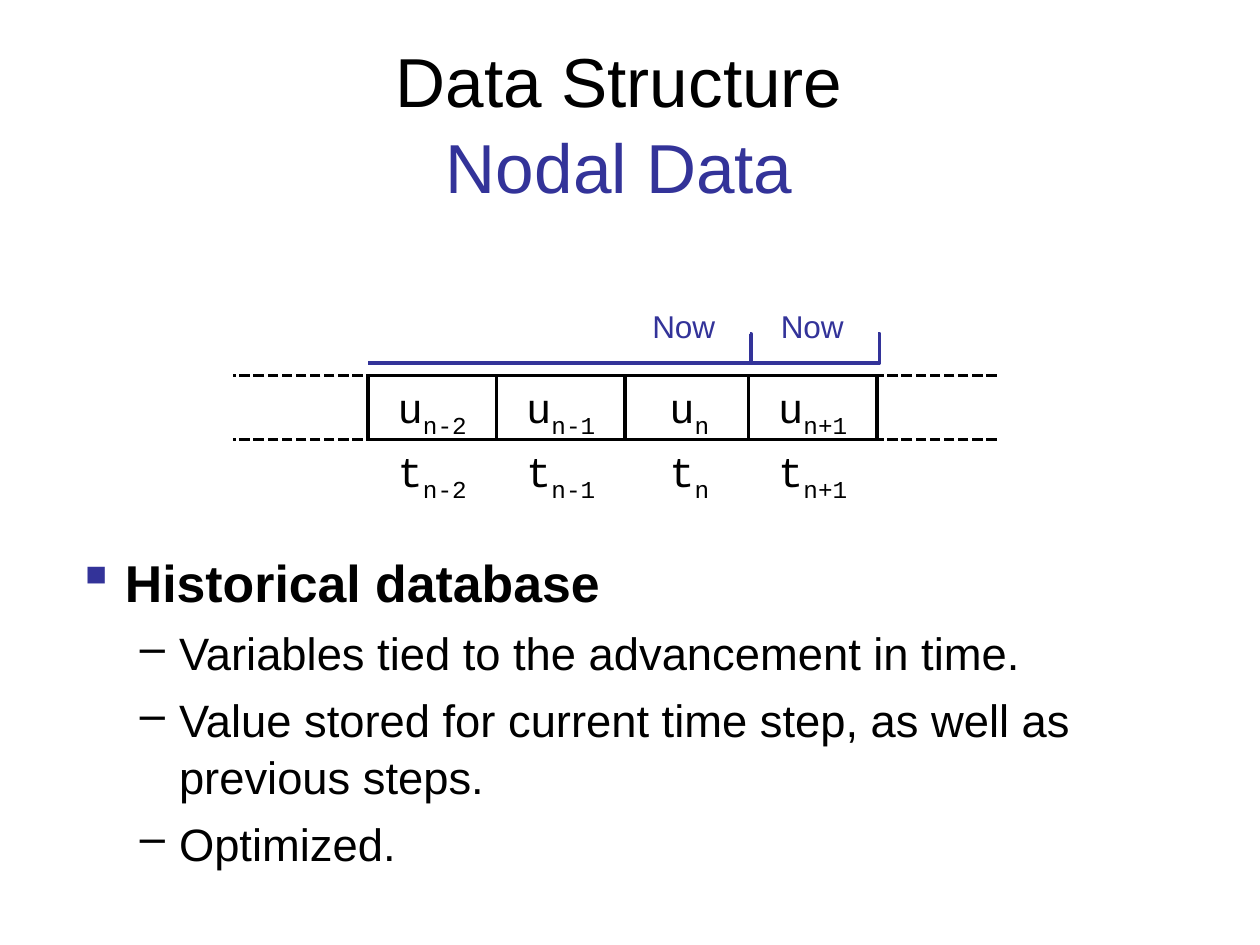
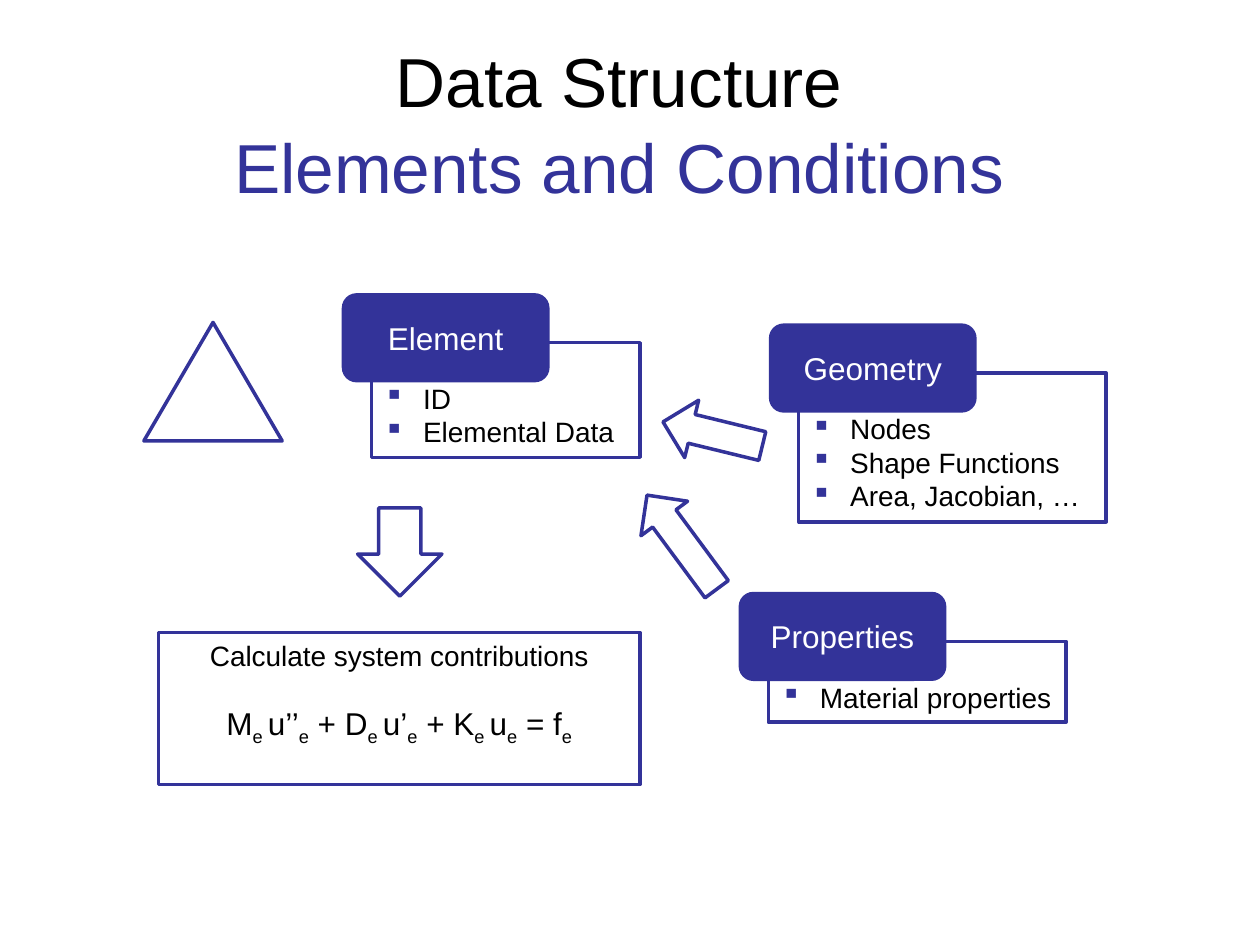
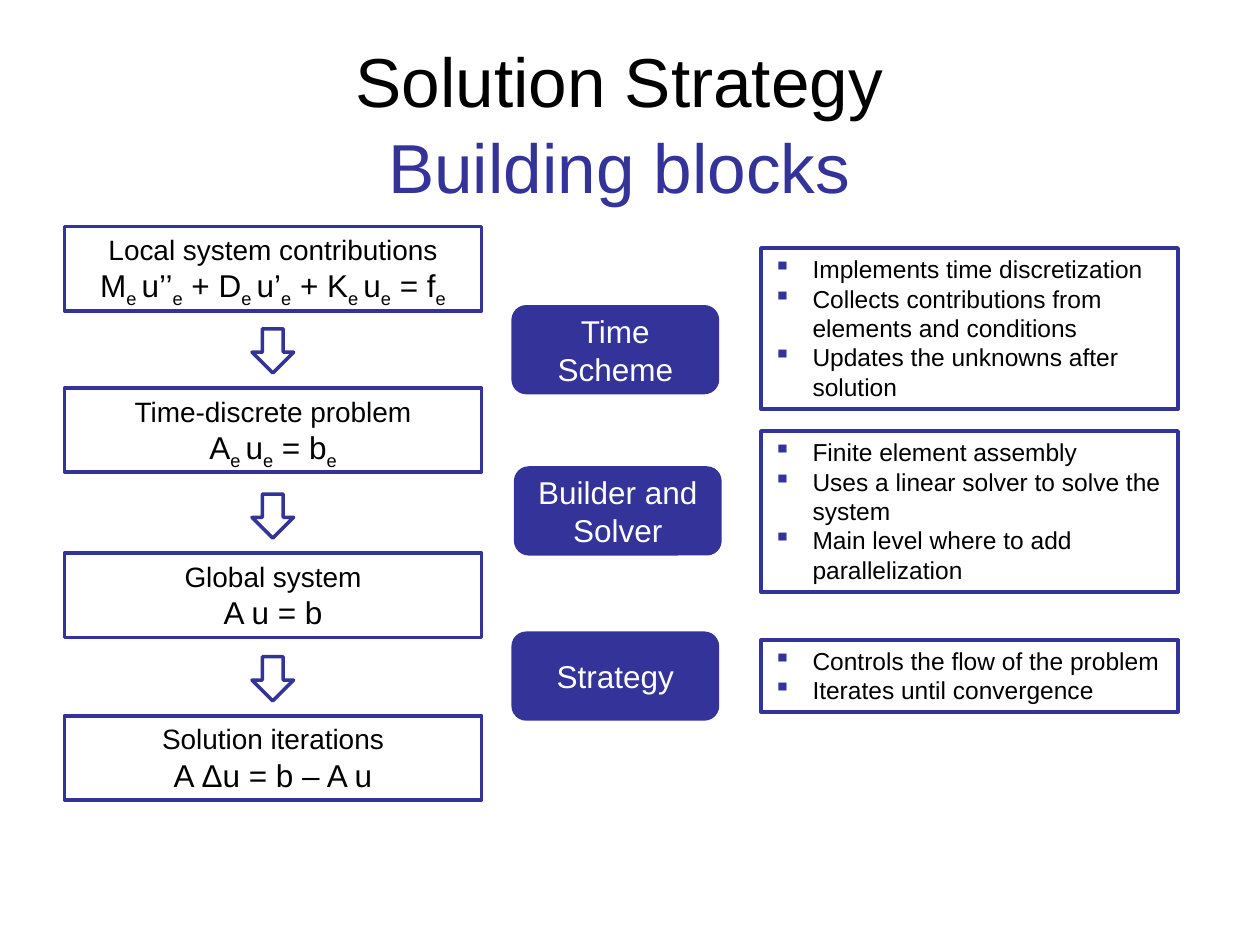
from lxml.etree import SubElement
from pptx import Presentation
from pptx.dml.color import RGBColor
from pptx.enum.dml import MSO_LINE_DASH_STYLE as Dash
from pptx.enum.shapes import MSO_CONNECTOR as Link, MSO_SHAPE as Kind
from pptx.enum.text import MSO_ANCHOR as Anchor, PP_ALIGN as Align
from pptx.oxml.ns import qn
from pptx.util import Cm, Pt

# Content: lengths in cm, subscripts between underscores
LOCAL_SYSTEM = "M_e _u’’_e_ + D_e _u’_e_ + K_e _u_e_ = f_e_"
TITLES = [
    ("Data Structure", "Nodal Data"),
    ("Data Structure", "Elements and Conditions"),
    ("Solution Strategy", "Building blocks"),
]
TIME_STEPS = [("n-2", 7.42), ("n-1", 10.01), ("n", 12.6), ("n+1", 15.09)]
HISTORY = [
    ("topic", "Historical database"),
    ("detail", "Variables tied to the advancement in time."),
    ("detail", "Value stored for current time step, as well as previous steps."),
    ("detail", "Optimized."),
]
CARDS = [
    ("Element", (7.49, 6.91, 5.41, 2.31), ["ID", "Elemental Data"]),
    ("Geometry", (16.1, 7.52, 6.2, 3.0),
     ["Nodes", "Shape Functions", "Area, Jacobian, …"]),
    ("Properties", (15.49, 12.93, 6.0, 1.63), ["Material properties"]),
]
CARD_ARROWS = [
    ((7.21, 10.24, 1.7, 1.78), 0),
    ((13.16, 9.75, 1.17, 2.36), 143.5),
    ((13.77, 7.72, 1.19, 2.06), 103.7),
]
FLOW = [
    (4.57, "Local system contributions", LOCAL_SYSTEM),
    (7.82, "Time-discrete problem", "A_e _u_e_ = b_e_"),
    (11.15, "Global system", "A u = b"),
    (14.43, "Solution iterations", "A Δu = b – A u"),
]
BLOCKS = [
    ("Time Scheme", (10.31, 6.15), (5.0, 3.25),
     ["Implements time discretization",
      "Collects contributions from elements and conditions",
      "Updates the unknowns after solution"]),
    ("Builder and Solver", (10.36, 9.4), (8.69, 3.25),
     ["Finite element assembly",
      "Uses a linear solver to solve the system",
      "Main level where to add parallelization"]),
    ("Strategy", (10.31, 12.73), (12.9, 1.45),
     ["Controls the flow of the problem", "Iterates until convergence"]),
]

# Shared look
COLOURS = {"ink": "000000", "accent": "333399", "paper": "FFFFFF"}
FONTS = {
    "title": {"size": Pt(39.6)},
    "topic": {"size": Pt(29.6), "bold": True},
    "detail": {"size": Pt(25.9)},
    "cell": {"size": Pt(24), "name": "Courier New"},
    "label": {"size": Pt(18)},
    "text": {"size": Pt(16)},
    "note": {"size": Pt(14)},
}
# Bullet sign, sign colour, text indent
BULLETS = {
    "topic": ("▪", "accent", 0.97, 0.97),
    "detail": ("–", "ink", 2.06, 0.79),
    "text": ("▪", "accent", 0.79, 0.79),
    "note": ("▪", "accent", 0.79, 0.79),
}
LABEL_SIZE = (4.19, 1.8)
CELL_STEP, CELL_HEIGHT = 2.59, 1.29
ROW_TOPS = {"t": 8.86, "u": 7.57}


def rgb(colour):
    return RGBColor.from_string(COLOURS[colour])


def write(para, text, style, colour="ink"):
    for index, part in enumerate(text.split("_")):
        if not part:
            continue
        span = para.add_run()
        span.text = part
        for key, value in {"name": "Arial", **FONTS[style]}.items():
            setattr(span.font, key, value)
        span.font.color.rgb = rgb(colour)
        if index % 2:
            span.font._element.set("baseline", "-25000")


def fill_text(box, lines, align=Align.LEFT, colour="ink", bulleted=False, **formats):
    """Write (style, text) lines, one paragraph each."""
    frame = box.text_frame
    for key, value in {"word_wrap": True, "vertical_anchor": Anchor.TOP, **formats}.items():
        setattr(frame, key, value)
    for index, (style, text) in enumerate(lines):
        para = frame.paragraphs[0] if index == 0 else frame.add_paragraph()
        para.alignment = align
        write(para, text, style, colour)
        if bulleted:
            add_bullet(para, *BULLETS[style])
    return frame


def add_bullet(para, sign, colour, margin, hanging):
    props = para._p.get_or_add_pPr()
    props.set("marL", str(Cm(margin)))
    props.set("indent", str(-Cm(hanging)))
    SubElement(SubElement(props, qn("a:buClr")), qn("a:srgbClr"), val=COLOURS[colour])
    SubElement(props, qn("a:buChar"), char=sign)


def add_text(page, place):
    return page.shapes.add_textbox(*map(Cm, place))


def add_box(page, kind, place, fill="paper", line="accent"):
    box = page.shapes.add_shape(kind, *map(Cm, place))
    box.shadow.inherit = False
    if fill:
        box.fill.solid()
        box.fill.fore_color.rgb = rgb(fill)
    else:
        box.fill.background()
    if line:
        box.line.color.rgb = rgb(line)
        box.line.width = Pt(2)
    else:
        box.line.fill.background()
    return box


def add_line(page, kind, ends, colour):
    line = page.shapes.add_connector(kind, *map(Cm, ends))
    line.line.color.rgb = rgb(colour)
    line.line.width = Pt(2)
    SubElement(line._element.spPr, qn("a:effectLst"))
    return line


def add_label(page, left, top, text):
    box = add_box(page, Kind.ROUNDED_RECTANGLE, (left, top, *LABEL_SIZE), "accent", None)
    fill_text(box, [("label", text)], Align.CENTER, "paper", vertical_anchor=Anchor.MIDDLE)


def add_list(page, place, style, items, **formats):
    box = add_box(page, Kind.RECTANGLE, place)
    fill_text(box, [(style, item) for item in items], bulleted=True, **formats)


def add_equation(page, place, caption, equation):
    box = add_box(page, Kind.RECTANGLE, place)
    return fill_text(box, [("text", caption), ("label", equation)], Align.CENTER)


def add_page(deck, title, subtitle):
    page = deck.slides.add_slide(deck.slide_layouts[6])
    frame = fill_text(add_text(page, (1.27, 0.85, 22.43, 3.18)), [("title", title)],
                      Align.CENTER, vertical_anchor=Anchor.MIDDLE)
    para = frame.paragraphs[0]
    para.line_spacing = 1.04
    para.add_line_break()
    write(para, subtitle, "title", "accent")
    return page


def draw_nodal_data(page):
    # Row of stored values above their times
    for variable, top in ROW_TOPS.items():
        for step, left in TIME_STEPS:
            cell = add_box(page, Kind.RECTANGLE, (left, top, CELL_STEP, CELL_HEIGHT),
                           line="ink" if variable == "u" else None)
            fill_text(cell, [("cell", f"{variable}_{step}_")], Align.CENTER)

    # Brackets over the steps kept at each moment
    for index in range(2):
        start = TIME_STEPS[0][1] + index * CELL_STEP
        bracket = add_line(page, Link.ELBOW, (start, 7.32, start + 7.69, 6.73), "accent")
        guides = bracket._element.spPr.find(qn("a:prstGeom")).get_or_add_avLst()
        SubElement(guides, qn("a:gd"), name="adj1", fmla="val 100400")
        fill_text(add_text(page, (start + 5.48, 6.07, 2.01, 1.02)),
                  [("label", "Now")], colour="accent")

    # Dashed rails
    for top in ROW_TOPS.values():
        rail = add_line(page, Link.STRAIGHT, (20.09, top, 4.7, top), "ink")
        rail.line.dash_style = Dash.SQUARE_DOT

    frame = fill_text(add_text(page, (1.3, 10.92, 22.4, 6.17)), HISTORY, bulleted=True)
    for para in frame.paragraphs:
        para.space_before = Pt(6)
        para.line_spacing = 1.04


def draw_elements(page):
    add_box(page, Kind.ISOSCELES_TRIANGLE, (2.9, 6.5, 2.79, 2.39))
    for name, place, items in CARDS:
        add_list(page, place, "text", items, margin_top=Cm(0.78))
        add_label(page, place[0] - 0.6, place[1] - 1, name)
    frame = add_equation(page, (3.2, 12.75, 9.7, 3.07),
                         "Calculate system contributions", LOCAL_SYSTEM)
    frame.paragraphs[1].space_before = Pt(18.4)
    for place, angle in CARD_ARROWS:
        add_box(page, Kind.DOWN_ARROW, place, fill=None).rotation = angle


def draw_building_blocks(page):
    # Flow of equations, each arrow just above the box it leads to
    for index, (top, caption, equation) in enumerate(FLOW):
        if index:
            add_box(page, Kind.DOWN_ARROW, (5.08, top - 1.19, 0.84, 0.89), fill=None)
        add_equation(page, (1.3, top, 8.41, 1.7), caption, equation)

    # Blocks and what they do
    for name, corner, (top, height), tasks in BLOCKS:
        add_label(page, *corner, name)
        add_list(page, (15.34, top, 8.41, height), "note", tasks)


def main():
    deck = Presentation()
    deck.slide_width, deck.slide_height = Cm(25.4), Cm(19.05)
    drawings = [draw_nodal_data, draw_elements, draw_building_blocks]
    for titles, draw in zip(TITLES, drawings):
        draw(add_page(deck, *titles))
    deck.save("out.pptx")


if __name__ == "__main__":
    main()
